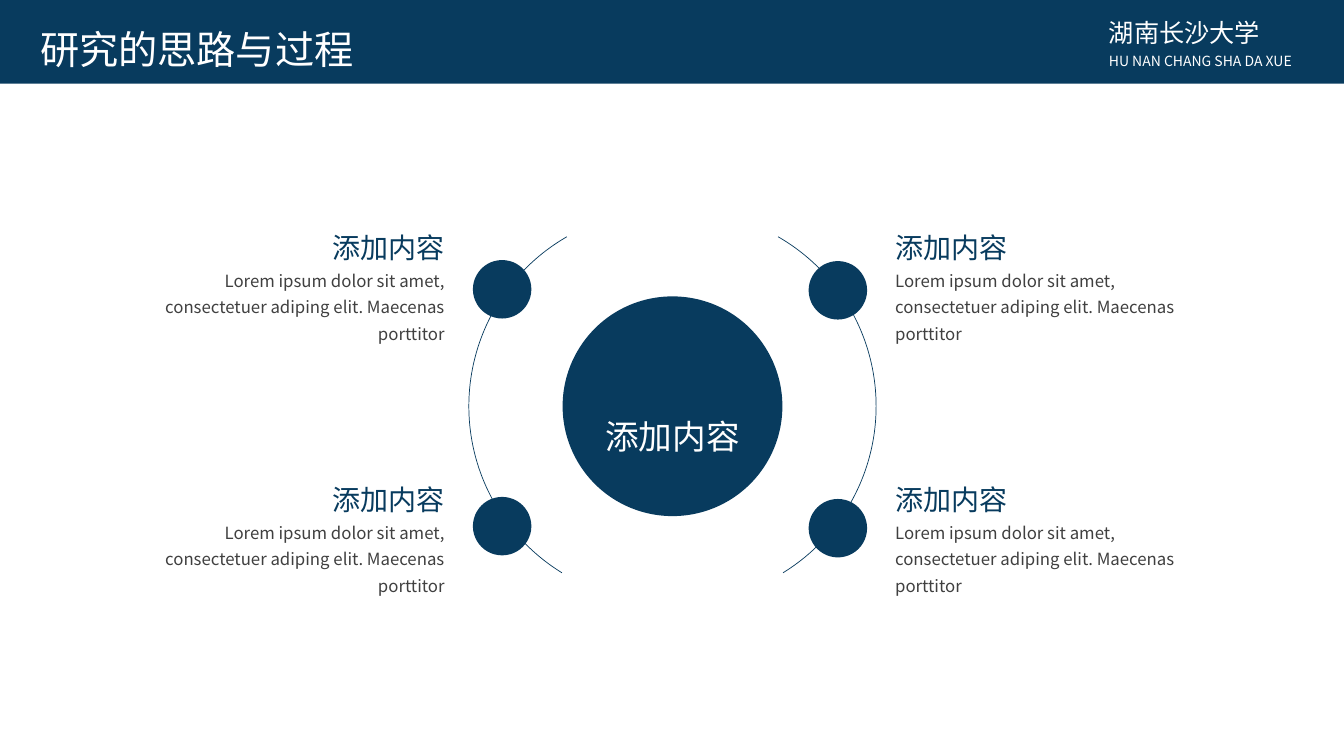
from lxml.etree import SubElement
from pptx import Presentation
from pptx.dml.color import RGBColor
from pptx.enum.shapes import MSO_SHAPE
from pptx.enum.text import MSO_AUTO_SIZE, PP_ALIGN
from pptx.oxml.ns import qn
from pptx.util import Inches, Pt

COLORS = {"navy": "083B5E", "white": "FFFFFF", "gray": "404040"}
HEADING_FONT, BODY_FONT = "Noto Sans CJK JP", "Noto Sans CJK SC"

STYLES = {
    "title": {"size": 28, "font": HEADING_FONT, "color": "white"},
    "school": {"size": 18, "font": HEADING_FONT, "color": "white"},
    "school_latin": {"size": 10, "font": BODY_FONT, "color": "white"},
    "center": {"size": 24, "font": HEADING_FONT, "color": "white", "spacing": 1.3},
    "heading": {"size": 20, "font": HEADING_FONT, "color": "navy", "spacing": 1.3},
    "body": {"size": 12, "font": BODY_FONT, "color": "gray", "spacing": 1.3},
}
HEADER = [
    ("研究的思路与过程", "title", (0.3, 0.2, 3.68, 0.57)),
    ("湖南长沙大学", "school", (10.9, 0.12, 2.26, 0.4)),
    ("HU NAN CHANG SHA DA XUE", "school_latin", (10.9, 0.47, 2.18, 0.28)),
]
CENTER_LABEL = "添加内容"
LOREM = "Lorem ipsum dolor sit amet, consectetuer adiping elit. Maecenas porttitor"
SIDES = [
    {
        "align": PP_ALIGN.RIGHT, "edge": 4.51, "arc_left": 4.65, "flip": True,
        "dot_left": 4.69, "dot_tops": (2.58, 4.93),
        "items": [("添加内容", LOREM), ("添加内容", LOREM)],
    },
    {
        "align": PP_ALIGN.LEFT, "edge": 8.78, "arc_left": 4.81, "flip": False,
        "dot_left": 8.02, "dot_tops": (2.59, 4.95),
        "items": [("添加内容", LOREM), ("添加内容", LOREM)],
    },
]
ROW_TOP, ROW_STEP, BODY_DROP = 2.14, 2.5, 0.44
HEADING_SIZE, BODY_SIZE = (2.04, 0.54), (3.33, 0.6)
ARC_TOP, ARC_SIZE, ARC_ANGLES = 2.09, 3.88, (179.965, 35.038)
DOT_SIZE = 0.58

deck = Presentation()
deck.slide_width, deck.slide_height = Inches(13.33), Inches(7.5)
page = deck.slides.add_slide(deck.slide_layouts[6])


def add_solid(kind, *place):
    shape = page.shapes.add_shape(kind, *map(Inches, place))
    shape.shadow.inherit = False
    shape.fill.solid()
    shape.fill.fore_color.rgb = RGBColor.from_string(COLORS["navy"])
    shape.line.fill.background()


def add_arc(left, flip):
    place = map(Inches, (left, ARC_TOP, ARC_SIZE, ARC_SIZE))
    arc = page.shapes.add_shape(MSO_SHAPE.ARC, *place)
    arc.shadow.inherit = False
    arc.fill.background()
    arc.line.color.rgb = RGBColor.from_string(COLORS["navy"])
    arc.line.width = Pt(0.5)
    for index, angle in enumerate(ARC_ANGLES):
        arc.adjustments[index] = angle
    if flip:
        arc._element.spPr.find(qn("a:xfrm")).set("flipH", "1")


def add_text(text, style_name, place, align=PP_ALIGN.LEFT):
    style = STYLES[style_name]
    box = page.shapes.add_textbox(*map(Inches, place))
    frame = box.text_frame
    frame.word_wrap = True
    frame.auto_size = MSO_AUTO_SIZE.SHAPE_TO_FIT_TEXT
    para = frame.paragraphs[0]
    para.alignment = align
    para.line_spacing = style.get("spacing")
    span = para.add_run()
    span.text = text
    for name, value in {"size": Pt(style["size"]), "name": style["font"]}.items():
        setattr(span.font, name, value)
    span.font.color.rgb = RGBColor.from_string(COLORS[style["color"]])
    SubElement(span._r.get_or_add_rPr(), qn("a:ea"), typeface=style["font"])


add_solid(MSO_SHAPE.RECTANGLE, 0, 0, 13.33, 0.83)
for text, style_name, place in HEADER:
    add_text(text, style_name, place)

add_solid(MSO_SHAPE.OVAL, 5.58, 2.94, 2.18, 2.18)
for side in SIDES:
    add_arc(side["arc_left"], side["flip"])
    for row, (heading, body) in enumerate(side["items"]):
        add_solid(MSO_SHAPE.OVAL, side["dot_left"], side["dot_tops"][row], DOT_SIZE, DOT_SIZE)
        top = ROW_TOP + row * ROW_STEP
        for text, style_name, drop, (width, height) in (
            (body, "body", BODY_DROP, BODY_SIZE),
            (heading, "heading", 0, HEADING_SIZE),
        ):
            left = side["edge"] - (width if side["align"] == PP_ALIGN.RIGHT else 0)
            add_text(text, style_name, (left, top + drop, width, height), side["align"])
add_text(CENTER_LABEL, "center", (5.65, 3.96, 2.04, 0.63), PP_ALIGN.CENTER)

deck.save("out.pptx")
